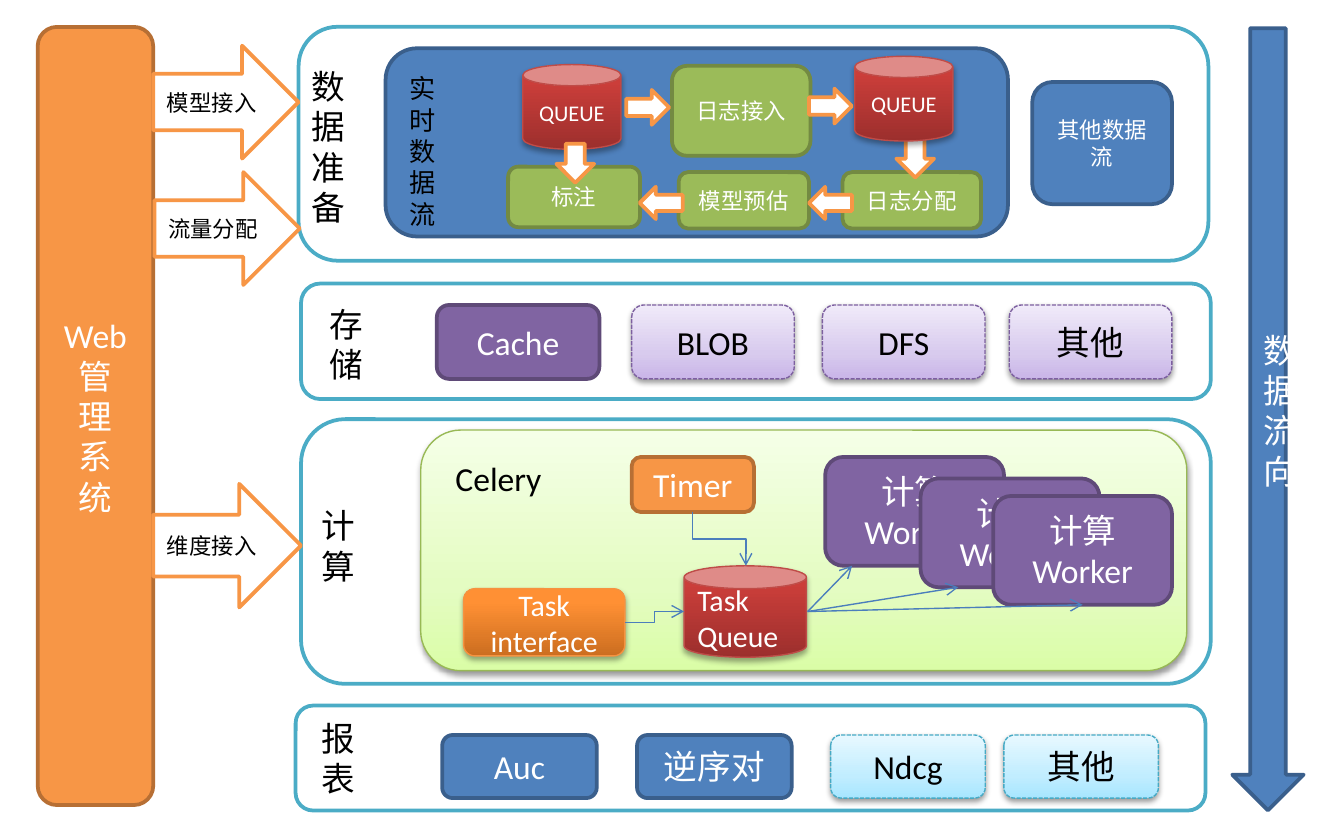
from lxml.etree import SubElement
from pptx import Presentation
from pptx.dml.color import RGBColor
from pptx.enum.dml import MSO_LINE_DASH_STYLE as Dash
from pptx.enum.shapes import MSO_CONNECTOR as Link, MSO_SHAPE as Shape
from pptx.enum.text import MSO_ANCHOR as Anchor, MSO_AUTO_SIZE as AutoSize, PP_ALIGN as Align
from pptx.oxml.ns import qn
from pptx.util import Pt

COLORS = {
    "white": "FFFFFF", "black": "000000", "teal": "4BACC6",
    "orange": "F79646", "orange_edge": "B76F34",
    "purple": "8064A2", "purple_edge": "5F4A78",
    "blue": "4F81BD", "blue_edge": "3A5F8C",
    "green": "9BBB59", "green_edge": "738A42",
    "ice_edge": "46AAC5", "lilac_edge": "7D60A0", "lime_edge": "98B955",
    "red_edge": "BF4C48", "amber_edge": "F69240", "link": "4B7EBC",
    "ice_low": "A7E6FF", "ice_mid": "C1EDFF", "ice_high": "E7F8FF",
    "lilac_low": "C9B5E8", "lilac_mid": "D8CBEE", "lilac_high": "F0EAF9",
    "lime_low": "DAFDA7", "lime_mid": "E4FCC2", "lime_high": "F5FFE7",
    "red_low": "9C2F2D", "red_mid": "CB3E3A", "red_high": "CE3B37",
    "amber_low": "CC6E20", "amber_mid": "FF9034", "amber_high": "FF9136",
}
SOLID = {
    "lane": ("white", "teal", "black"),
    "inlet": ("white", "orange", "black"),
    "orange": ("orange", "orange_edge", "white"),
    "purple": ("purple", "purple_edge", "white"),
    "blue": ("blue", "blue_edge", "white"),
    "green": ("green", "green_edge", "white"),
}
RAISED = {
    "ice": (35, 38, 1.6, "black", Dash.SQUARE_DOT),
    "lilac": (35, 38, 1.6, "black", Dash.SQUARE_DOT),
    "lime": (35, 38, 1.6, "black", None),
    "red": (80, 35, 1.8, "white", None),
    "amber": (80, 35, 1.8, "white", None),
}


def rgb(name):
    return RGBColor.from_string(COLORS[name])


def apply_format(target, values):
    for attribute, value in values.items():
        setattr(target, attribute, value)


def write_text(frame, words, size, color, align):
    frame.text = words
    for paragraph in frame.paragraphs:
        paragraph.alignment = align
        font = paragraph.runs[0].font
        apply_format(font, {"name": "Calibri", "size": Pt(size)})
        font.color.rgb = rgb(color)


def raise_surface(node, look):
    middle, opacity, distance, _, dash = RAISED[look]
    node.fill.gradient()
    node.fill.gradient_angle = 90
    properties = node._element.spPr
    stops = properties.find(qn("a:gradFill")).find(qn("a:gsLst"))
    stops.clear()
    for position, tone in ((0, "low"), (middle, "mid"), (100, "high")):
        stop = SubElement(stops, qn("a:gs"), pos=str(position * 1000))
        SubElement(stop, qn("a:srgbClr"), val=COLORS[f"{look}_{tone}"])
    apply_format(node.line, {"width": Pt(0.75), "dash_style": dash})
    node.line.color.rgb = rgb(f"{look}_edge")
    shadow = SubElement(properties.find(qn("a:effectLst")), qn("a:outerShdw"),
                        blurRad=str(Pt(3.1)), dist=str(Pt(distance)),
                        dir="5400000", rotWithShape="0")
    tint = SubElement(shadow, qn("a:srgbClr"), val=COLORS["black"])
    SubElement(tint, qn("a:alpha"), val=str(opacity * 1000))


def add_node(slide, box, look, words="", size=18, kind=Shape.ROUNDED_RECTANGLE,
             align=Align.CENTER):
    node = slide.shapes.add_shape(kind, *map(Pt, box))
    node.shadow.inherit = False
    if look in RAISED:
        raise_surface(node, look)
        ink = RAISED[look][3]
    else:
        fill, edge, ink = SOLID[look]
        node.fill.solid()
        node.fill.fore_color.rgb = rgb(fill)
        node.line.color.rgb = rgb(edge)
        node.line.width = Pt(2)
    if words:
        apply_format(node.text_frame, {"word_wrap": True, "vertical_anchor": Anchor.MIDDLE})
        write_text(node.text_frame, words, size, ink, align)
    return node


def add_label(slide, box, words, size=18, wrap=True):
    frame = slide.shapes.add_textbox(*map(Pt, box)).text_frame
    apply_format(frame, {"word_wrap": wrap, "auto_size": AutoSize.SHAPE_TO_FIT_TEXT})
    write_text(frame, words, size, "black", Align.LEFT)


def add_link(slide, start, end, kind=Link.STRAIGHT):
    link = slide.shapes.add_connector(kind, *map(Pt, start + end))
    link.line.color.rgb = rgb("link")
    link.line.width = Pt(0.75)
    SubElement(link.line._get_or_add_ln(), qn("a:tailEnd"), type="arrow")
    SubElement(link._element.spPr, qn("a:effectLst"))
    return link


def turn_downward(link):
    width, height = link.width, link.height
    shift = (width - height) // 2
    apply_format(link, {"left": link.left + shift, "top": link.top - shift,
                        "width": height, "height": width})
    frame = link._element.spPr.find(qn("a:xfrm"))
    frame.set("rot", "16200000")
    frame.set("flipH", "1")


def add_lanes(slide):
    for left, top, height in ((161.3, 151.9, 61.9), (160, 14.4, 125.3),
                              (161.3, 224.6, 141.8), (158.4, 378, 56.2)):
        add_node(slide, (left, top, 487.4, height), "lane")
    for box, words in (((159.8, 31.7, 40.3, 94.3), "数据准备"),
                       ((169.2, 159.1, 27.4, 72.7), "存储"),
                       ((164.9, 267.1, 35.3, 72.7), "计\n算"),
                       ((164.9, 380.9, 28.1, 51.1), "报表")):
        add_label(slide, box, words)


def add_sides(slide):
    add_node(slide, (20.2, 14.4, 61.9, 416.9), "orange", "Web\n管\n理\n系\n统")
    add_node(slide, (660.2, 15.1, 38.2, 419), "blue", "数据流向", kind=Shape.DOWN_ARROW)
    for box, words in (((82.1, 24.5, 77.8, 60.5), "模型接入"),
                       ((82.8, 92.2, 77.8, 60.5), "流量分配"),
                       ((82.1, 259.2, 79.2, 66.2), "维度接入")):
        add_node(slide, box, "inlet", words, 12, Shape.RIGHT_ARROW)


def add_row(slide, top, width, height, items):
    for left, look, words in items:
        add_node(slide, (left, top, width, height), look, words)


def add_stream(slide):
    panel = Shape.FLOWCHART_ALTERNATE_PROCESS
    add_node(slide, (206.6, 25.9, 333.4, 100.8), "blue", kind=panel)
    add_node(slide, (553, 43.9, 74.9, 65.5), "blue", "其他数据流", 12, panel)
    add_label(slide, (212.4, 35.3, 40.3, 92.2), "实时数据流", 14)
    for box, words in (((360, 35.3, 74.2, 48.2), "日志接入"),
                       ((363.6, 92.2, 69.8, 30.2), "模型预估"),
                       ((451.4, 92.2, 74.2, 30.2), "日志分配"),
                       ((272.2, 89.3, 70.6, 32.4), "标注")):
        add_node(slide, box, "green", words, 12)
    add_node(slide, (480.2, 74.2, 20.2, 20.9), "inlet", kind=Shape.DOWN_ARROW)
    for left, top in ((280.1, 34.6), (457.9, 30.2)):
        add_node(slide, (left, top, 52.6, 45.4), "red", "QUEUE", 12, Shape.CAN)
    for box, kind in (((335.5, 48.2, 23, 18.7), Shape.RIGHT_ARROW),
                      ((433.4, 47.5, 23, 18.7), Shape.RIGHT_ARROW),
                      ((342.7, 100.1, 23, 17.3), Shape.LEFT_ARROW),
                      ((433.4, 100.1, 23, 17.3), Shape.LEFT_ARROW),
                      ((298.1, 77, 20.2, 20.9), Shape.DOWN_ARROW)):
        add_node(slide, box, "inlet", kind=kind)


def add_compute(slide):
    add_node(slide, (225.4, 230.4, 410.4, 128.9), "lime")
    add_label(slide, (236.9, 241.9, 61.2, 28.8), "Celery", wrap=False)
    timer = add_node(slide, (338.4, 244.8, 65.5, 29.5), "orange", "Timer",
                     kind=Shape.FLOWCHART_ALTERNATE_PROCESS)
    add_node(slide, (366.5, 303.1, 65.5, 49), "red", "Task\nQueue", 16, Shape.CAN, Align.LEFT)
    interface = add_node(slide, (248.4, 315.4, 86.4, 36), "amber", "Task\ninterface", 16)
    workers = [add_node(slide, (left, top, 95.8, 58.3), "purple", "计算\nWorker")
               for left, top in ((442.1, 244.8), (493.2, 256.3), (532.1, 265.7))]

    schedule = add_link(slide, (371.2, 274.3), (399.6, 303.1), Link.ELBOW)
    schedule.begin_connect(timer, 2)
    turn_downward(schedule)
    submit = add_link(slide, (334.8, 333.4), (366.5, 327.6), Link.ELBOW)
    submit.begin_connect(interface, 3)
    dispatches = [add_link(slide, (432.7, 327.6), end)
                  for end in ((456.5, 303.1), (513.4, 314.6), (580, 324))]
    dispatches[-1].end_connect(workers[-1], 2)


def main():
    deck = Presentation()
    apply_format(deck, {"slide_width": Pt(720), "slide_height": Pt(450)})
    slide = deck.slides.add_slide(deck.slide_layouts[6])
    add_lanes(slide)
    add_sides(slide)
    add_stream(slide)
    add_row(slide, 163.4, 87.1, 39.6, (
        (234, "purple", "Cache"), (338.4, "lilac", "BLOB"),
        (440.6, "lilac", "DFS"), (540.7, "lilac", "其他")))
    add_compute(slide)
    add_row(slide, 393.8, 82.8, 33.8, (
        (236.9, "blue", "Auc"), (341.3, "blue", "逆序对"),
        (445, "ice", "Ndcg"), (537.8, "ice", "其他")))
    deck.save("out.pptx")


if __name__ == "__main__":
    main()
